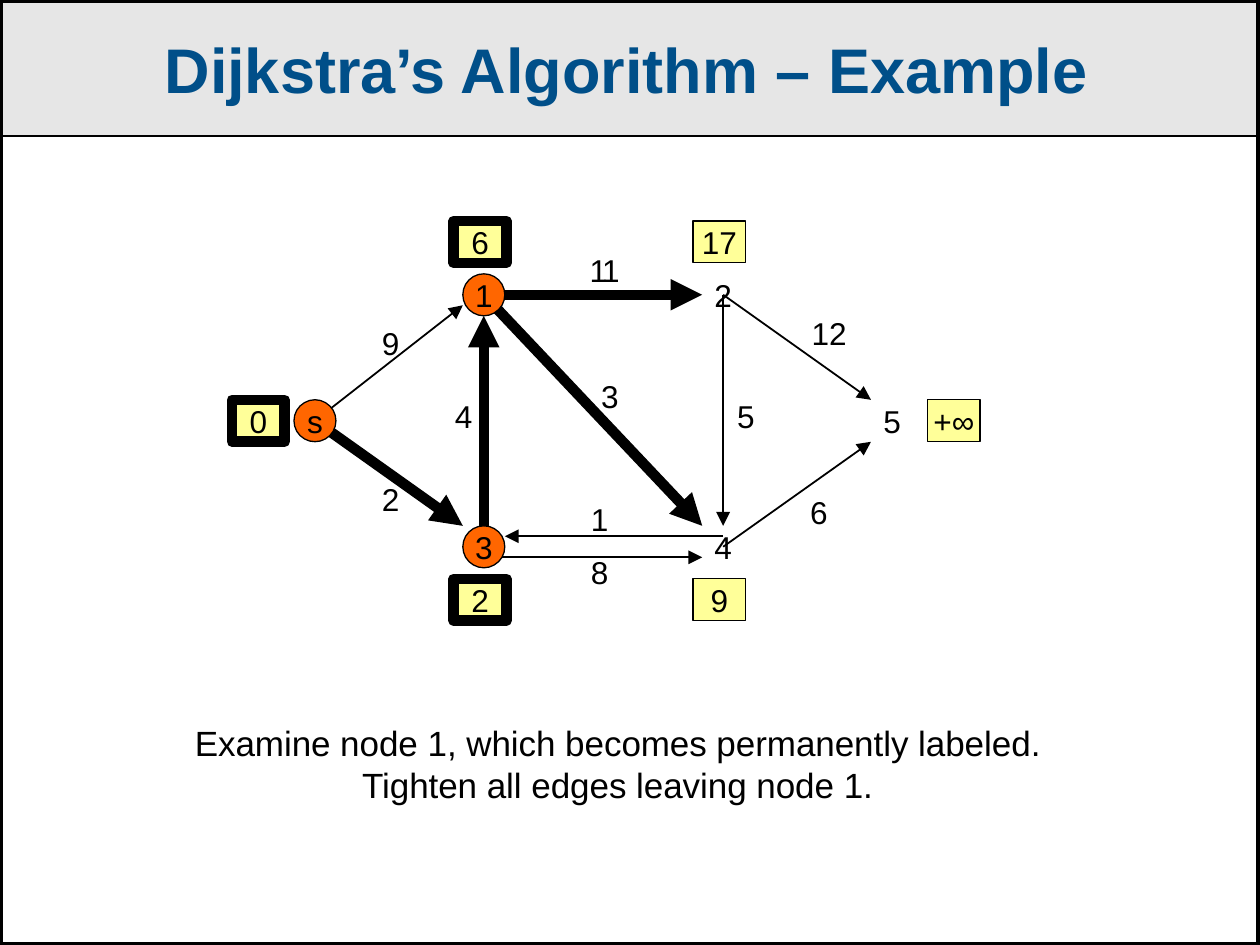
import pptx
import pptx.util
import pptx.dml.color
import pptx.enum.shapes
import pptx.enum.text
from lxml import etree

Inches, Pt = pptx.util.Inches, pptx.util.Pt
RGBColor = pptx.dml.color.RGBColor
SHAPES = pptx.enum.shapes.MSO_SHAPE
BLACK = RGBColor(0, 0, 0)
BLUE = RGBColor(0x00, 0x4F, 0x89)
GREY = RGBColor(0xE6, 0xE6, 0xE6)
ORANGE = RGBColor(0xFF, 0x66, 0x00)
YELLOW = RGBColor(0xFF, 0xFF, 0x99)
THIN, THICK = 0.37, 3
RADIUS = 1 / 12
DRAWING = "{http://schemas.openxmlformats.org/drawingml/2006/main}"

TITLE = "Dijkstra’s Algorithm – Example"
CAPTION = ["Examine node 1, which becomes permanently labeled.",
           "Tighten all edges leaving node 1."]

# name: centre, examined
NODES = {
    "s": ((1.25, 1.67), True),
    "1": ((1.92, 1.17), True),
    "2": ((2.87, 1.17), False),
    "3": ((1.92, 2.17), True),
    "4": ((2.87, 2.17), False),
    "5": ((3.54, 1.67), False),
}
# distance, centre, permanent
DISTANCES = [
    ("0", (1.02, 1.67), True),
    ("6", (1.9, 0.96), True),
    ("2", (1.9, 2.38), True),
    ("9", (2.85, 2.38), False),
    ("17", (2.85, 0.96), False),
    ("+∞", (3.78, 1.67), False),
]
# from, to, start and end offsets in node radii, heavy, weight, weight centre
EDGES = [
    ("s", "1", (0, 0), (-1, 0.5), False, "9", (1.55, 1.36)),
    ("s", "3", (0, 0), (-1, -1), True, "2", (1.55, 1.98)),
    ("3", "1", (0, 0), (0, 1), True, "4", (1.84, 1.65)),
    ("1", "2", (0, 0), (-1, 0), True, "11", (2.4, 1.07)),
    ("1", "4", (0, 0), (-1, -1), True, "3", (2.42, 1.57)),
    ("4", "5", (0, 0), (-1, 1), False, "6", (3.25, 2.03)),
    ("2", "5", (0, 0), (-1, -1), False, "12", (3.29, 1.32)),
    ("2", "4", (0, 0), (0, -1), False, "5", (2.96, 1.65)),
    ("4", "3", (0, -0.5), (1, -0.5), False, "1", (2.38, 2.06)),
    ("3", "4", (0, 0.5), (-1, 0.5), False, "8", (2.38, 2.27)),
]


def write(box, lines, size=9, color=BLACK, bold=False, wrap=False,
          spacing=None, leading=None):
    frame = box.text_frame
    frame.margin_left = frame.margin_right = 0
    frame.margin_top = frame.margin_bottom = 0
    frame.word_wrap = wrap
    frame.vertical_anchor = pptx.enum.text.MSO_ANCHOR.MIDDLE
    for index, line in enumerate(lines):
        para = frame.paragraphs[0] if index == 0 else frame.add_paragraph()
        para.alignment = pptx.enum.text.PP_ALIGN.CENTER
        if leading:
            para.line_spacing = Pt(leading)
        span = para.add_run()
        span.text = line
        span.font.name, span.font.size = "Arial", Pt(size)
        span.font.bold = bold
        span.font.color.rgb = color
        if spacing:
            span.font._element.set("spc", str(int(spacing * 100)))


def add_shape(kind, left, top, width, height, fill=None, line=THIN):
    shape = page.shapes.add_shape(
        kind, Inches(left), Inches(top), Inches(width), Inches(height))
    shape.shadow.inherit = False
    if fill is None:
        shape.fill.background()
    else:
        shape.fill.solid()
        shape.fill.fore_color.rgb = fill
    shape.line.color.rgb = BLACK
    shape.line.width = Pt(line)
    etree.SubElement(shape.line._get_or_add_ln(), DRAWING + "round")
    return shape


def add_text(lines, center, width=0.24, height=0.18, **style):
    x, y = center
    box = page.shapes.add_textbox(Inches(x - width / 2), Inches(y - height / 2),
                                  Inches(width), Inches(height))
    write(box, lines, **style)


def add_arrow(start, end, heavy):
    arrow = page.shapes.add_connector(
        pptx.enum.shapes.MSO_CONNECTOR.STRAIGHT,
        *(Inches(value) for value in (*start, *end)))
    arrow.line.color.rgb = BLACK
    arrow.line.width = Pt(THICK if heavy else 0.5)
    size = "med" if heavy else "sm"
    etree.SubElement(arrow.line._get_or_add_ln(), DRAWING + "tailEnd",
                     type="triangle", w=size, len=size)
    etree.SubElement(arrow._element.spPr, DRAWING + "effectLst")


def shifted(name, offset):
    """Point at an offset, in radii, from a node's centre."""
    return [place + RADIUS * step for place, step in zip(NODES[name][0], offset)]


deck = pptx.Presentation()
deck.slide_width, deck.slide_height = Inches(5), Inches(3.75)
page = deck.slides.add_slide(deck.slide_layouts[6])

header = add_shape(SHAPES.RECTANGLE, 0, 0, 5, 0.54, GREY)
write(header, [TITLE], size=18, color=BLUE, bold=True)
header.text_frame.margin_right = Inches(0.03)

for source, target, leave, arrive, heavy, _, _ in EDGES:
    add_arrow(shifted(source, leave), shifted(target, arrive), heavy)

for name, (center, examined) in NODES.items():
    if examined:
        x, y = center
        node = add_shape(SHAPES.OVAL, x - RADIUS, y - RADIUS,
                         2 * RADIUS, 2 * RADIUS, ORANGE)
        write(node, [name])
    else:
        add_text([name], center)

for *_, weight, center in EDGES:
    add_text([weight], center, spacing=-0.8 if weight == "11" else None)

for distance, (x, y), permanent in DISTANCES:
    label = add_shape(SHAPES.RECTANGLE, x - 0.1, y - RADIUS, 0.21, 2 * RADIUS,
                      YELLOW, THICK if permanent else THIN)
    write(label, [distance])

add_text(CAPTION, (2.45, 3.03), 3.5, 0.36, size=10, wrap=True, leading=12)
add_shape(SHAPES.RECTANGLE, 0, 0, 5, 3.75, line=1.92)

deck.save("out.pptx")
